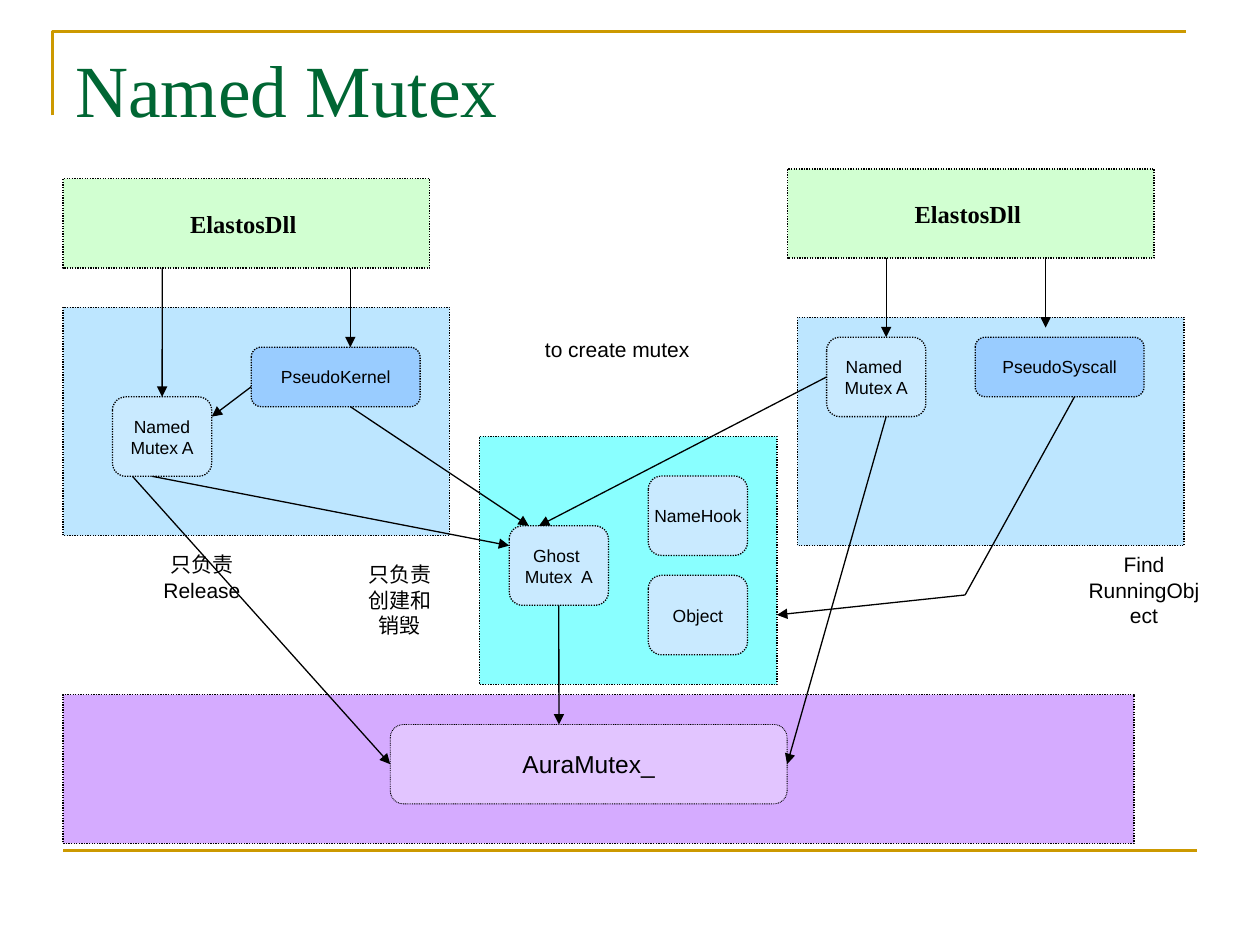
"""Build the Named Mutex architecture slide."""
import pptx
import pptx.util
import pptx.dml.color
import pptx.enum.dml
import pptx.enum.shapes
import pptx.enum.text
import pptx.oxml.ns
import lxml.etree

Pt = pptx.util.Pt
RGBColor = pptx.dml.color.RGBColor
SHAPE = pptx.enum.shapes.MSO_SHAPE
qn = pptx.oxml.ns.qn

BLACK = RGBColor(0x00, 0x00, 0x00)
GOLD = RGBColor(0xCC, 0x99, 0x00)
DARK_GREEN = RGBColor(0x00, 0x66, 0x33)
PALE_GREEN = RGBColor(0xCC, 0xFF, 0xCC)
SKY = RGBColor(0xBD, 0xE6, 0xFF)
CYAN = RGBColor(0x89, 0xFF, 0xFF)
BLUE = RGBColor(0x99, 0xCC, 0xFF)
PALE_BLUE = RGBColor(0xC9, 0xEA, 0xFF)
PURPLE = RGBColor(0xD5, 0xAB, 0xFF)
LILAC = RGBColor(0xE2, 0xC5, 0xFF)

prs = pptx.Presentation()
prs.slide_width, prs.slide_height = Pt(720), Pt(540)
s = prs.slides.add_slide(prs.slide_layouts[6])


def write(shape, text, size, font="Arial", color=BLACK, bold=False, centred=True):
    tf = shape.text_frame
    tf.text = text
    for p in tf.paragraphs:
        if centred:
            p.alignment = pptx.enum.text.PP_ALIGN.CENTER
        for r in p.runs:
            r.font.size, r.font.name, r.font.bold = Pt(size), font, bold
            r.font.color.rgb = color
    return tf


def add_line(start, end, color=BLACK, width=0.75, arrow=True):
    c = s.shapes.add_connector(
        pptx.enum.shapes.MSO_CONNECTOR.STRAIGHT, *[Pt(v) for v in (*start, *end)])
    c.line.color.rgb = color
    c.line.width = Pt(width)
    if arrow:
        lxml.etree.SubElement(c.get_or_add_ln(), qn("a:tailEnd"), type="triangle")
    lxml.etree.SubElement(c.element.spPr, qn("a:effectLst"))
    return c


corner = s.shapes.build_freeform(Pt(30), Pt(66))
corner.add_line_segments([(Pt(30), Pt(18)), (Pt(678), Pt(18))], close=False)
frame = corner.convert_to_shape()
frame.fill.background()
frame.line.color.rgb = GOLD
frame.line.width = Pt(1.5)
frame.shadow.inherit = False
add_line((36, 486), (684, 486), GOLD, 1.5, arrow=False)

title = s.shapes.add_textbox(Pt(36), Pt(21.6), Pt(648), Pt(90))
write(title, "Named Mutex", 42, "Times New Roman", DARK_GREEN, centred=False).word_wrap = True

RECT, ROUND, ALT = SHAPE.RECTANGLE, SHAPE.ROUNDED_RECTANGLE, SHAPE.FLOWCHART_ALTERNATE_PROCESS
DLL, PANEL, PSEUDO, MUTEX = (209.5, 51), (221, 130.4), (96.5, 34), (56.7, 45.4)
boxes = [
    ("aura panel", RECT, (36, 396.9), (612, 85), PURPLE, ""),
    ("kernel panel", RECT, (36, 175.7), PANEL, SKY, ""),
    ("ghost panel", RECT, (274, 249.4), (170, 141.8), CYAN, ""),
    ("left dll", RECT, (36, 102.2), DLL, PALE_GREEN, "ElastosDll "),
    ("syscall panel", RECT, (455.7, 181.4), PANEL, SKY, ""),
    ("kernel", ALT, (143.6, 198.4), PSEUDO, BLUE, "PseudoKernel"),
    ("right mutex", ALT, (472.4, 192.7), MUTEX, PALE_BLUE, "Named \nMutex A"),
    ("ghost", ALT, (291, 300.5), MUTEX, PALE_BLUE, "Ghost \nMutex  A"),
    ("aura", ROUND, (223, 414), (226.8, 45.4), LILAC, "AuraMutex_"),
    ("syscall", ALT, (557.3, 192.7), PSEUDO, BLUE, "PseudoSyscall"),
    ("hook", ALT, (370.5, 272), MUTEX, PALE_BLUE, "NameHook"),
    ("object", ALT, (370.5, 328.8), MUTEX, PALE_BLUE, "Object"),
    ("right dll", RECT, (450, 96.5), DLL, PALE_GREEN, "ElastosDll "),
    ("left mutex", ALT, (64.3, 226.8), MUTEX, PALE_BLUE, "Named\nMutex A"),
]
nodes = {}
for name, kind, place, size, color, text in boxes:
    sp = s.shapes.add_shape(kind, *[Pt(v) for v in (*place, *size)])
    sp.shadow.inherit = False
    sp.fill.solid()
    sp.fill.fore_color.rgb = color
    sp.line.color.rgb = BLACK
    sp.line.width = Pt(0.5 if name == "aura" else 0.75)
    sp.line.dash_style = pptx.enum.dml.MSO_LINE.ROUND_DOT
    if color == PALE_GREEN:
        srgb = sp.element.spPr.find(qn("a:solidFill")).find(qn("a:srgbClr"))
        lxml.etree.SubElement(srgb, qn("a:alpha"), val="90000")
    if text:
        is_dll = size == DLL
        tf = write(sp, text, 14 if is_dll or name == "aura" else 10,
                   "Times New Roman" if is_dll else "Arial", bold=is_dll)
        tf.word_wrap = False
        tf.vertical_anchor = pptx.enum.text.MSO_ANCHOR.MIDDLE
    nodes[name] = sp

labels = [
    ("to create mutex", 302.4, 188.6, 100.8, 48),
    ("Find\nRunningObject", 614, 311.8, 79.4, 51),
    ("只负责创建和销毁", 200, 317.5, 56.7, 51),
    ("只负责Release", 81.4, 311.8, 68, 51),
]
for text, *place in labels:
    label = s.shapes.add_textbox(*[Pt(v) for v in place])
    write(label, text, 12).word_wrap = True

add_line((614, 226.8), (551.5, 340), arrow=False)
arrows = [
    ((92.7, 153.2), (92.7, 226.8), None, ("left mutex", 0)),
    ((200.2, 153.2), (200.2, 198.4), None, None),
    ((597.5, 147.5), (597.5, 187.2), None, None),
    ((506.4, 147.5), (506.4, 192.7), None, None),
    ((200.2, 232.4), (302.2, 300.5), None, None),
    ((87, 272.2), (291, 311.8), None, None),
    ((551.5, 340), (444, 351.4), None, None),
    ((472.4, 215.4), (308, 300.5), ("right mutex", 1), None),
    ((506.4, 238.1), (449.8, 436.7), None, ("aura", 3)),
    ((75.7, 272.2), (223, 436.7), None, ("aura", 1)),
    ((319.4, 345.9), (319.4, 414), ("ghost", 2), None),
    ((143.6, 221), (121, 238.1), None, None),
]
for start, end, source, target in arrows:
    c = add_line(start, end)
    if source:
        c.begin_connect(nodes[source[0]], source[1])
    if target:
        c.end_connect(nodes[target[0]], target[1])

prs.save("out.pptx")
